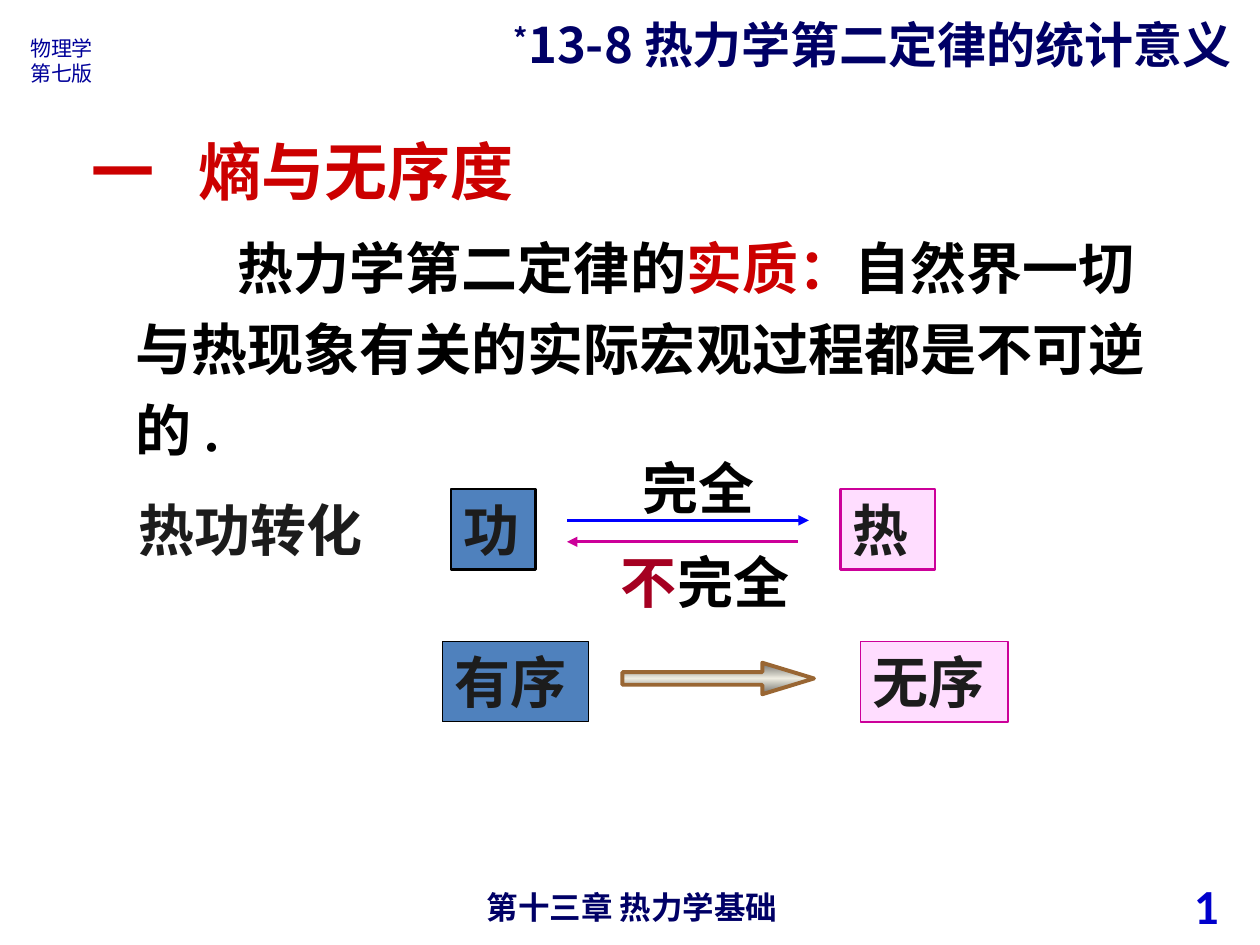
from copy import deepcopy

from lxml import etree
from pptx import Presentation
from pptx.dml.color import RGBColor
from pptx.enum.shapes import MSO_CONNECTOR, MSO_SHAPE
from pptx.enum.text import MSO_ANCHOR, PP_ALIGN
from pptx.oxml.ns import qn
from pptx.util import Inches, Pt

RECTANGLE = MSO_SHAPE.RECTANGLE
RIGHT_ARROW = MSO_SHAPE.RIGHT_ARROW
STRAIGHT = MSO_CONNECTOR.STRAIGHT
LEFT, CENTER, RIGHT = PP_ALIGN.LEFT, PP_ALIGN.CENTER, PP_ALIGN.RIGHT
TOP, MIDDLE = MSO_ANCHOR.TOP, MSO_ANCHOR.MIDDLE

COLORS = {
    "navy": "000066",
    "edition": "000099",
    "number": "0000CC",
    "red": "CC0000",
    "dark_red": "A50021",
    "black": "000000",
    "ink": "1C1C1C",
    "order": "4F81BD",
    "disorder": "FFDDFF",
    "magenta": "CC0099",
    "blue": "0000FF",
    "bronze": "996633",
    "shade": "6E6D68",
    "shine": "EEECE1",
}
CJK_FONT = "Noto Sans CJK SC"
EAST_ASIAN_FONT = "Calibri"


def color(name):
    return RGBColor.from_string(COLORS[name])


def add_run(paragraph, text, ink, size, font="Arial", bold=True, baseline=0):
    run = paragraph.add_run()
    run.text = text
    for key, value in {"size": Pt(size), "name": font, "bold": bold}.items():
        setattr(run.font, key, value)
    run.font.color.rgb = color(ink)
    properties = run.font._element
    etree.SubElement(properties, qn("a:ea"), typeface=EAST_ASIAN_FONT)
    if baseline:
        properties.set("baseline", str(baseline))


def write(shape, paragraphs, align=LEFT, anchor=TOP):
    frame = shape.text_frame
    frame.word_wrap = True
    frame.vertical_anchor = anchor
    for index, runs in enumerate(paragraphs):
        paragraph = frame.add_paragraph() if index else frame.paragraphs[0]
        paragraph.alignment = align
        for run in runs:
            add_run(paragraph, **run)
    return frame.paragraphs[0]


def add_text(slide, box, paragraphs, **layout):
    shape = slide.shapes.add_textbox(*map(Inches, box))
    return write(shape, paragraphs, **layout)


def add_shape(slide, kind, box, outline, width):
    shape = slide.shapes.add_shape(kind, *map(Inches, box))
    shape.shadow.inherit = False
    shape.line.color.rgb = color(outline)
    shape.line.width = Pt(width)
    return shape


def add_state(slide, box, text, fill, outline, width):
    state = add_shape(slide, RECTANGLE, box, outline, width)
    state.fill.solid()
    state.fill.fore_color.rgb = color(fill)
    write(state, [[dict(text=text, ink="ink", size=32)]])


def add_conversion(slide, start, end, y, ink):
    conversion = slide.shapes.add_connector(
        STRAIGHT, Inches(start), Inches(y), Inches(end), Inches(y))
    conversion.line.color.rgb = color(ink)
    conversion.line.width = Pt(1.5)
    etree.SubElement(conversion.line._get_or_add_ln(), qn("a:tailEnd"),
                     type="triangle")
    etree.SubElement(conversion._element.spPr, qn("a:effectLst"))


def add_block_arrow(slide, box):
    arrow = add_shape(slide, RIGHT_ARROW, box, "bronze", 2.25)
    arrow.adjustments[0] = 0.4
    arrow.adjustments[1] = 1.64
    arrow.fill.gradient()
    arrow.fill.gradient_angle = 90
    stop_list = arrow._element.spPr.find(".//" + qn("a:gsLst"))
    stop_list.insert(1, deepcopy(stop_list[0]))
    bands = ((0, "shade"), (0.5, "shine"), (1, "shade"))
    for stop, (position, name) in zip(arrow.fill.gradient_stops, bands):
        stop.position = position
        stop.color.rgb = color(name)


def add_page_frame(slide):
    add_text(slide, (7.44, 6.98, 2.33, 0.4),
             [[dict(text="1", ink="number", size=28, font="Calibri")]],
             align=RIGHT, anchor=MIDDLE)
    add_text(slide, (3.43, 7, 3.17, 0.29),
             [[dict(text="第十三章 热力学基础", ink="navy", size=18,
                    font=CJK_FONT)]], align=CENTER)
    title = dict(ink="navy", size=28, font=CJK_FONT)
    add_text(slide, (3.98, 0.07, 6.06, 1.04),
             [[dict(title, text="*", baseline=30000),
               dict(title, text="13-8 热力学第二定律的统计意义")]])
    add_text(slide, (0.14, 0.23, 0.72, 0.5),
             [[dict(text=line, ink="edition", size=12, font=CJK_FONT,
                    bold=False)] for line in ("物理学", "第七版")])


def add_statement(slide):
    heading = add_text(slide, (0.63, 1, 5, 0.7),
                       [[dict(text="一\t熵与无序度", ink="red", size=36,
                              font="Times New Roman")]])
    tabs = etree.SubElement(heading._p.get_or_add_pPr(), qn("a:tabLst"))
    etree.SubElement(tabs, qn("a:tab"), pos=str(Inches(0.85)), algn="l")

    essence = add_text(slide, (0.98, 1.7, 8.3, 2.02), [[
        dict(text="热力学第二定律的", ink="black", size=32),
        dict(text="实质", ink="red", size=32),
        dict(text="：", ink="red", size=32, font=CJK_FONT),
        dict(text="自然界一切与热现象有关的实际宏观过程都是不可逆的 ",
             ink="black", size=32),
        dict(text=".", ink="black", size=32, font="Times New Roman"),
    ]])
    essence.line_spacing = 1.2
    essence._p.get_or_add_pPr().set("indent", str(Inches(0.81)))


def add_work_and_heat(slide):
    labels = (
        ((1, 3.88, 2.44, 0.64), (("热功转化", "ink"),)),
        ((5, 3.55, 1.5, 0.64), (("完全", "black"),)),
        ((4.83, 4.3, 1.99, 0.64), (("不", "dark_red"), ("完全", "black"))),
    )
    for box, parts in labels:
        add_text(slide, box, [[dict(text=text, ink=ink, size=32)
                               for text, ink in parts]])
    add_state(slide, (3.58, 3.88, 0.67, 0.64), "功", "order", "black", 1.5)
    add_state(slide, (6.67, 3.88, 0.75, 0.64), "热", "disorder", "magenta", 1.5)
    add_conversion(slide, 4.5, 6.42, 4.13, "blue")
    add_conversion(slide, 6.33, 4.5, 4.3, "magenta")


def add_order_and_disorder(slide):
    add_state(slide, (3.51, 5.09, 1.16, 0.64), "有序", "order", "black", 0.5)
    add_state(slide, (6.83, 5.09, 1.17, 0.64), "无序", "disorder", "magenta", 0.75)
    add_block_arrow(slide, (4.94, 5.26, 1.52, 0.25))


def main():
    deck = Presentation()
    deck.slide_width, deck.slide_height = Inches(10), Inches(7.5)
    slide = deck.slides.add_slide(deck.slide_layouts[6])
    add_page_frame(slide)
    add_order_and_disorder(slide)
    add_work_and_heat(slide)
    add_statement(slide)
    deck.save("out.pptx")


if __name__ == "__main__":
    main()
